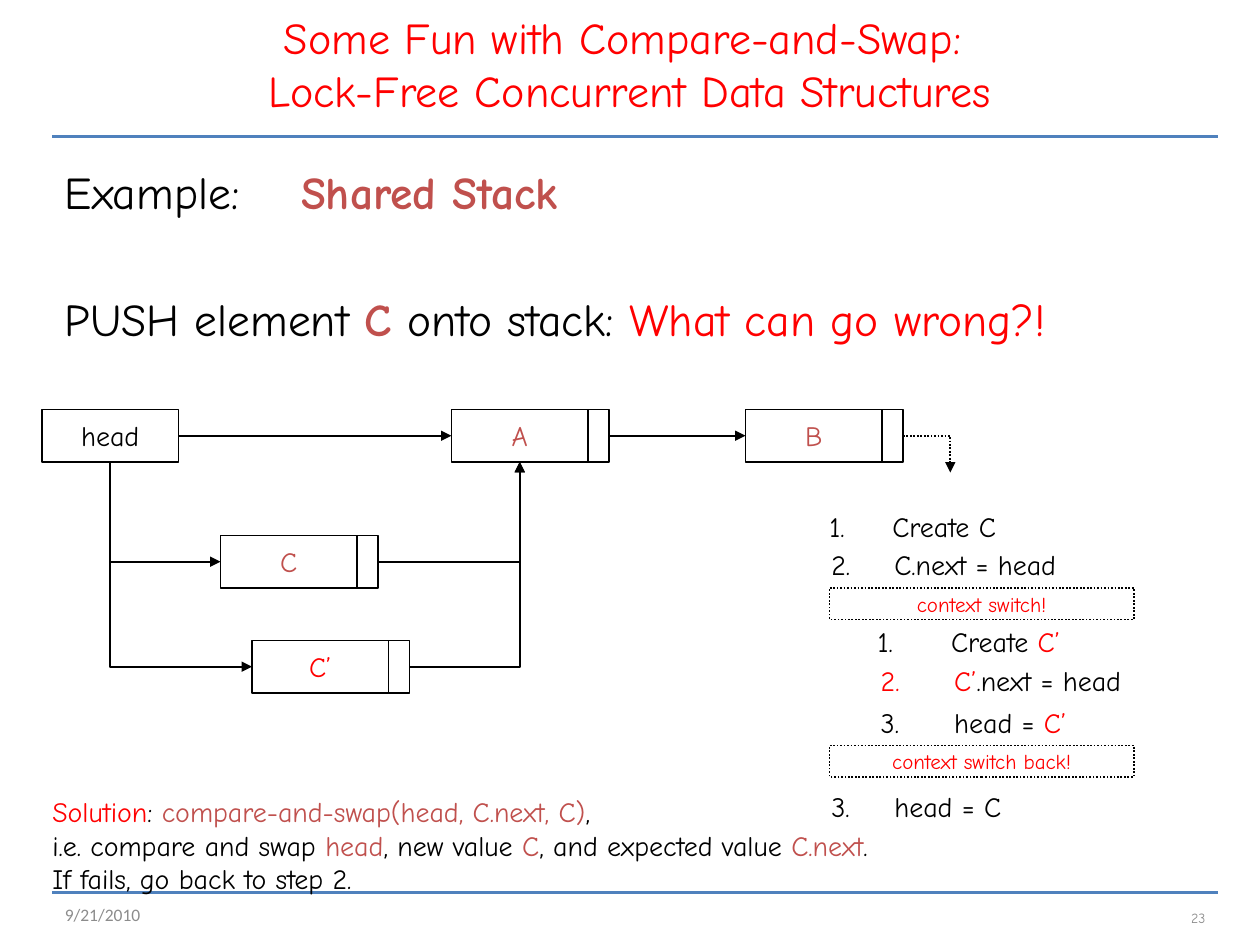
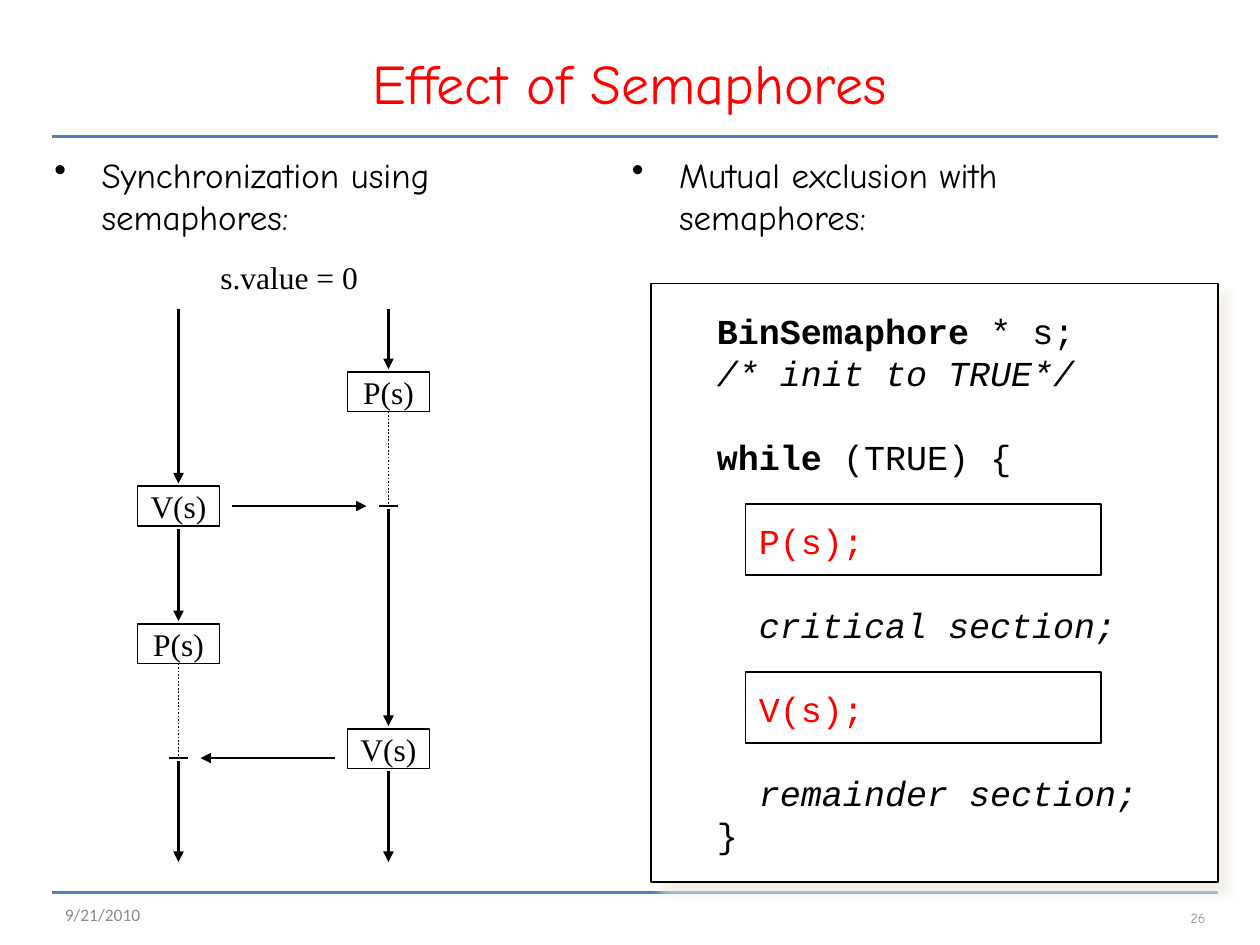
from collections import namedtuple
from dataclasses import dataclass

from lxml import etree
from pptx import Presentation, util as u
from pptx.dml import color
from pptx.enum import dml, shapes, text
from pptx.oxml import ns


@dataclass(frozen=True)
class Theme:
    ink: str = "000000"
    paper: str = "FFFFFF"
    alert: str = "FF0000"
    accent: str = "C0504D"
    rule: str = "4F81BD"
    muted: str = "8C8C8C"
    shade: str = "EEECE1"
    hand: str = "Comic Neue"
    plain: str = "Calibri"
    serif: str = "Times New Roman"
    code: str = "Courier New"
    title_size: float = 32
    long_title_size: float = 25.2
    lead_size: float = 26
    bullet_size: float = 20
    op_size: float = 18
    label_size: float = 16
    note_size: float = 12
    date_size: float = 10
    number_size: float = 8
    thin: float = 1
    thick: float = 2


THEME = Theme()
COLUMNS, ROWS = 120, 90
LEFT, BOTTOM, RIGHT = 1, 2, 3
Para = namedtuple("Para", "runs layout indent hanging mark", defaults=({}, 0, 0, None))


def ink(content, **style):
    return content, style


def alert(content, **style):
    return content, {"tint": THEME.alert, **style}


def accent(content, **style):
    return content, {"tint": THEME.accent, **style}


class Deck:
    def __init__(self):
        self.theme = THEME
        self.file = Presentation()
        self.file.slide_width, self.file.slide_height = u.Inches(10), u.Inches(7.5)
        self.canvas = None

    def x(self, columns):
        return round(self.file.slide_width * columns / COLUMNS)

    def y(self, rows):
        return round(self.file.slide_height * rows / ROWS)

    def area(self, at):
        left, top, width, height = at
        return self.x(left), self.y(top), self.x(width), self.y(height)

    def start(self, title, at, size, number):
        theme = self.theme
        self.canvas = self.file.slides.add_slide(self.file.slide_layouts[6]).shapes
        for row in (13, 85):
            self.line((5, row), (116, row), tint=theme.rule, width=theme.thick)
        middle = text.MSO_ANCHOR.MIDDLE
        centred = {"alignment": text.PP_ALIGN.CENTER}
        self.words(at, [Para([alert(part)], centred) for part in title],
                   anchor=middle, size=size)
        self.words((5, 85.2, 18, 3.8), [Para([ink("9/21/2010")])], anchor=middle,
                   name=theme.plain, size=theme.date_size, tint=theme.muted)
        self.words((105, 85, 11, 4.8),
                   [Para([ink(number)], {"alignment": text.PP_ALIGN.RIGHT})],
                   anchor=middle, size=theme.number_size, tint=theme.muted)

    def typeset(self, frame, paras, **base):
        for index, para in enumerate(paras):
            line = frame.paragraphs[0] if index == 0 else frame.add_paragraph()
            for key, value in para.layout.items():
                setattr(line, key, value)
            props = line._p.get_or_add_pPr()
            if para.indent:
                props.set("marL", str(self.x(para.indent)))
                props.set("indent", str(-self.x(para.hanging)))
            if para.mark:
                tag, values = para.mark
                etree.SubElement(props, ns.qn(tag), values)
            for content, style in para.runs:
                run = line.add_run()
                run.text = content
                look = {"name": self.theme.hand, "tint": self.theme.ink, **base, **style}
                run.font.color.rgb = color.RGBColor.from_string(look.pop("tint"))
                look["size"] = u.Pt(look["size"])
                for key, value in look.items():
                    setattr(run.font, key, value)

    def words(self, at, paras, anchor=text.MSO_ANCHOR.TOP, wrap=True, **base):
        frame = self.canvas.add_textbox(*self.area(at)).text_frame
        frame.word_wrap, frame.vertical_anchor = wrap, anchor
        self.typeset(frame, paras, **base)

    def stroke(self, outline, tint, width, dotted):
        outline.color.rgb = color.RGBColor.from_string(tint)
        outline.width = u.Pt(width)
        if dotted:
            outline.dash_style = dml.MSO_LINE.ROUND_DOT

    def box(self, at, label=None, filled=True, dotted=False, **base):
        rect = self.canvas.add_shape(shapes.MSO_SHAPE.RECTANGLE, *self.area(at))
        rect.shadow.inherit = False
        if filled:
            rect.fill.solid()
            rect.fill.fore_color.rgb = color.RGBColor.from_string(self.theme.paper)
        else:
            rect.fill.background()
        self.stroke(rect.line, self.theme.ink, self.theme.thin, dotted)
        if label:
            frame = rect.text_frame
            frame.word_wrap, frame.vertical_anchor = False, text.MSO_ANCHOR.MIDDLE
            self.typeset(frame, [Para([label], {"alignment": text.PP_ALIGN.CENTER})], **base)
        return rect

    def panel(self, at):
        rect = self.box(at)
        effects = rect._element.spPr.find(ns.qn("a:effectLst"))
        shadow = etree.SubElement(effects, ns.qn("a:outerShdw"), {
            "blurRad": str(u.Pt(5)), "dist": str(u.Pt(8.5)), "dir": "2700000",
            "algn": "tl", "rotWithShape": "0"})
        tone = etree.SubElement(shadow, ns.qn("a:srgbClr"), {"val": self.theme.shade})
        etree.SubElement(tone, ns.qn("a:alpha"), {"val": "75000"})

    def line(self, start=(0, 0), end=(0, 0), begin=None, finish=None, arrow=None,
             bent=False, dotted=False, tint=THEME.ink, width=THEME.thin):
        kind = shapes.MSO_CONNECTOR.ELBOW if bent else shapes.MSO_CONNECTOR.STRAIGHT
        link = self.canvas.add_connector(kind, self.x(start[0]), self.y(start[1]),
                                         self.x(end[0]), self.y(end[1]))
        if begin:
            link.begin_connect(*begin)
        if finish:
            link.end_connect(*finish)
        self.stroke(link.line, tint, width, dotted)
        props = link._element.spPr
        if bent:
            props.find(ns.qn("a:prstGeom")).set("prst", "bentConnector2")
        if arrow:
            etree.SubElement(props.find(ns.qn("a:ln")), ns.qn(arrow), {"type": "triangle"})
        etree.SubElement(props, ns.qn("a:effectLst"))

    def node(self, column, row, label):
        size = self.theme.label_size
        value = self.box((column, row, 13, 5), label, size=size)
        return value, self.box((column + 13, row, 2, 5))

    def step(self, column, row, number, runs, hanging=6):
        mark = "a:buAutoNum", {"type": "arabicPeriod", "startAt": str(number)}
        self.words((column, row, 29, 4.4), [Para(runs, {}, hanging, hanging, mark)],
                   size=self.theme.label_size)

    def lane(self, column, operations):
        theme, gap, height, reach = self.theme, 0.25, 3.8, 29.4
        heavy = {"arrow": "a:tailEnd", "width": theme.thick}
        for name, top, resume in operations:
            self.line((column, reach), (column, top - gap), **heavy)
            operation = self.box((column - 3.9, top, 7.8, height), ink(name),
                                 name=theme.serif, size=theme.op_size)
            reach = top + height + gap
            if resume:
                self.line((column, top + height), (column, resume),
                          begin=(operation, BOTTOM), dotted=True)
                self.line((column - 0.9, resume), (column + 0.9, resume))
                reach = resume + gap
        self.line((column, reach), (column, 82.1), **heavy)


def shared_stack(deck):
    theme = deck.theme
    deck.start(["Some Fun with Compare-and-Swap: ", "Lock-Free Concurrent Data Structures"],
               (0, 0, 120, 12), theme.long_title_size, "23")
    deck.words((5, 15, 111, 16), [
        Para([ink("Example: \t"), accent("Shared Stack", bold=True)],
             {"space_before": u.Pt(5.2)}, 4.5, 4.5),
        Para([ink("PUSH element "), accent("C", bold=True), ink(" onto stack: "),
              alert("What can go wrong?!")], {"space_before": u.Pt(41.5)}, 4.5, 4.5),
    ], size=theme.lead_size)

    a, a_next = deck.node(43, 39, accent("A"))
    b, b_next = deck.node(71, 39, accent("B"))
    head = deck.box((4, 39, 13, 5), ink("head"), size=theme.label_size)
    c, c_next = deck.node(21, 51, accent("C"))
    c_prime, c_prime_next = deck.node(24, 61, alert("C’"))

    for source, target in ((head, a), (a_next, b)):
        deck.line(begin=(source, RIGHT), finish=(target, LEFT), arrow="a:tailEnd")
    for value, following in ((c, c_next), (c_prime, c_prime_next)):
        deck.line(begin=(value, LEFT), finish=(head, BOTTOM), arrow="a:headEnd", bent=True)
        deck.line(begin=(following, RIGHT), finish=(a, BOTTOM), arrow="a:tailEnd", bent=True)
    deck.line((86, 41.5), (90.5, 45), begin=(b_next, RIGHT), arrow="a:tailEnd",
              bent=True, dotted=True)

    deck.step(77.8, 47.9, 1, [ink("Create C")])
    deck.step(78, 51.6, 2, [ink("C.next = head")])
    deck.step(82.4, 58.9, 1, [ink("Create "), alert("C’")], hanging=7)
    deck.step(82.7, 62.6, 2, [alert("C’"), ink(".next = head")], hanging=7)
    deck.step(82.7, 66.6, 3, [ink("head = "), alert("C’")], hanging=7)
    deck.step(78, 74.6, 3, [ink("head = C")])
    for row, event in ((56, "context switch!"), (71, "context switch back!")):
        deck.box((79, row, 29, 3), alert(event), dotted=True, size=theme.note_size)

    deck.words((3.8, 75.1, 92, 10.8), [
        Para([alert("Solution"), ink(": "),
              accent("compare-and-swap(head, C.next, C)"), ink(",")]),
        Para([ink("i.e. compare and swap "), accent("head"), ink(", new value "),
              accent("C"), ink(", and expected value "), accent("C.next"), ink(".")]),
        Para([ink("If fails, go back to step 2.")]),
    ], size=theme.label_size)


def semaphores(deck):
    theme = deck.theme
    deck.start(["Effect of Semaphores"], (6, 3.6, 108, 8.4), theme.title_size, "26")
    dot = "a:buChar", {"char": "•"}
    for column, use in ((4, "Synchronization using semaphores:"),
                        (59, "Mutual exclusion with semaphores:")):
        deck.words((column, 14, 54, 13),
                   [Para([ink(use)], {"space_before": u.Pt(4)}, 4.5, 4.5, dot)],
                   size=theme.bullet_size)

    deck.words((19.8, 24, 15.5, 4.8), [Para([ink("s.value = 0")])], wrap=False,
               name=theme.serif, size=theme.op_size)
    first_signal, second_signal = 48.2, 72.2
    deck.lane(17, [("V(s)", 46.3, None), ("P(s)", 59.4, second_signal)])
    deck.lane(37, [("P(s)", 35.4, first_signal), ("V(s)", 69.4, None)])
    for start, end, row in ((22.1, 34.9, first_signal), (31.9, 19.1, second_signal)):
        deck.line((start, row), (end, row), arrow="a:tailEnd")

    deck.panel((62, 27, 54, 57))
    pitch = {"line_spacing": u.Pt(24)}
    spaced = {**pitch, "space_before": u.Pt(24)}
    deck.words((67.1, 28.9, 49, 53.2), [
        Para([ink("BinSemaphore", bold=True), ink(" * s;")], pitch),
        Para([ink("/* init to TRUE*/", italic=True)], pitch),
        Para([ink("while", bold=True), ink(" (TRUE) {")], spaced),
        Para([alert("P(s);")], spaced, 4),
        Para([ink("critical section;", italic=True)], spaced, 4),
        Para([alert("V(s);")], spaced, 4),
        Para([ink("remainder section;", italic=True)], spaced, 4),
        Para([ink("}")], pitch),
    ], name=theme.code, size=theme.bullet_size)
    for row in (48, 64):
        deck.box((71, row, 33.9, 6.8), filled=False)


def main():
    deck = Deck()
    shared_stack(deck)
    semaphores(deck)
    deck.file.save("out.pptx")


if __name__ == "__main__":
    main()
